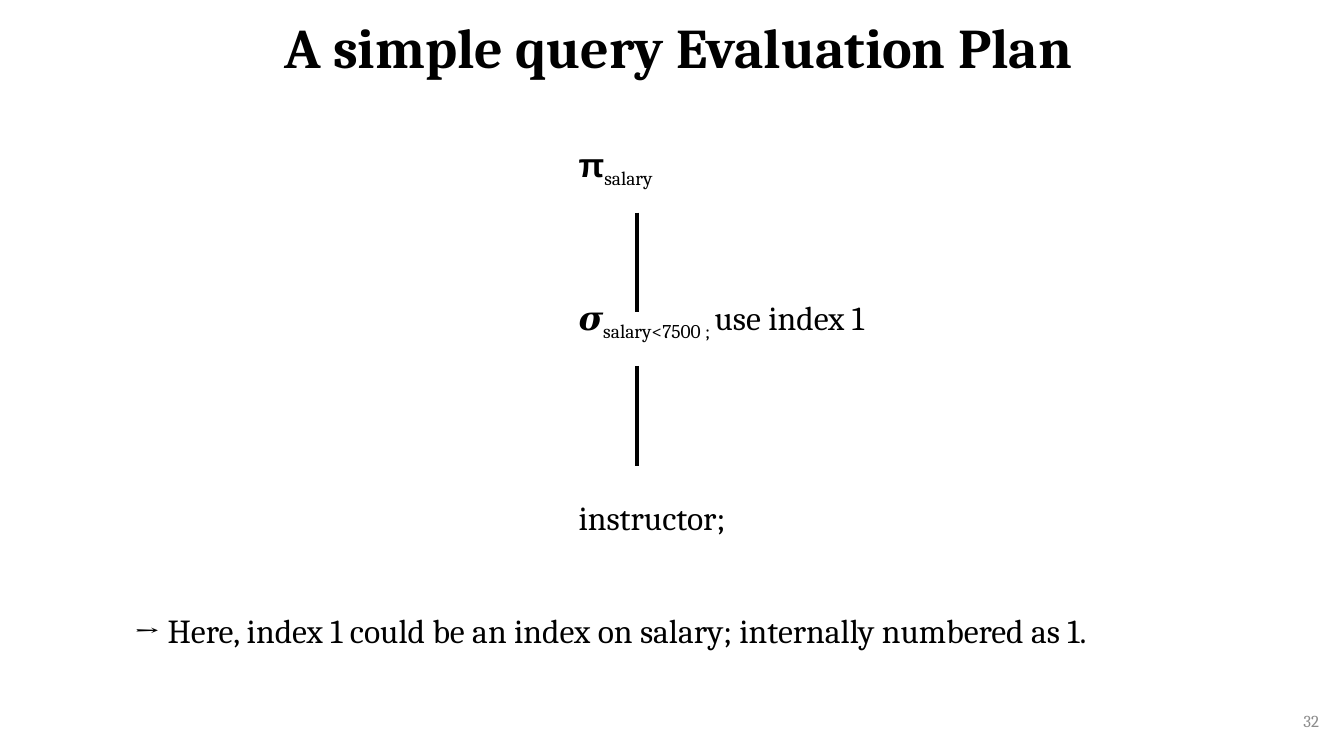
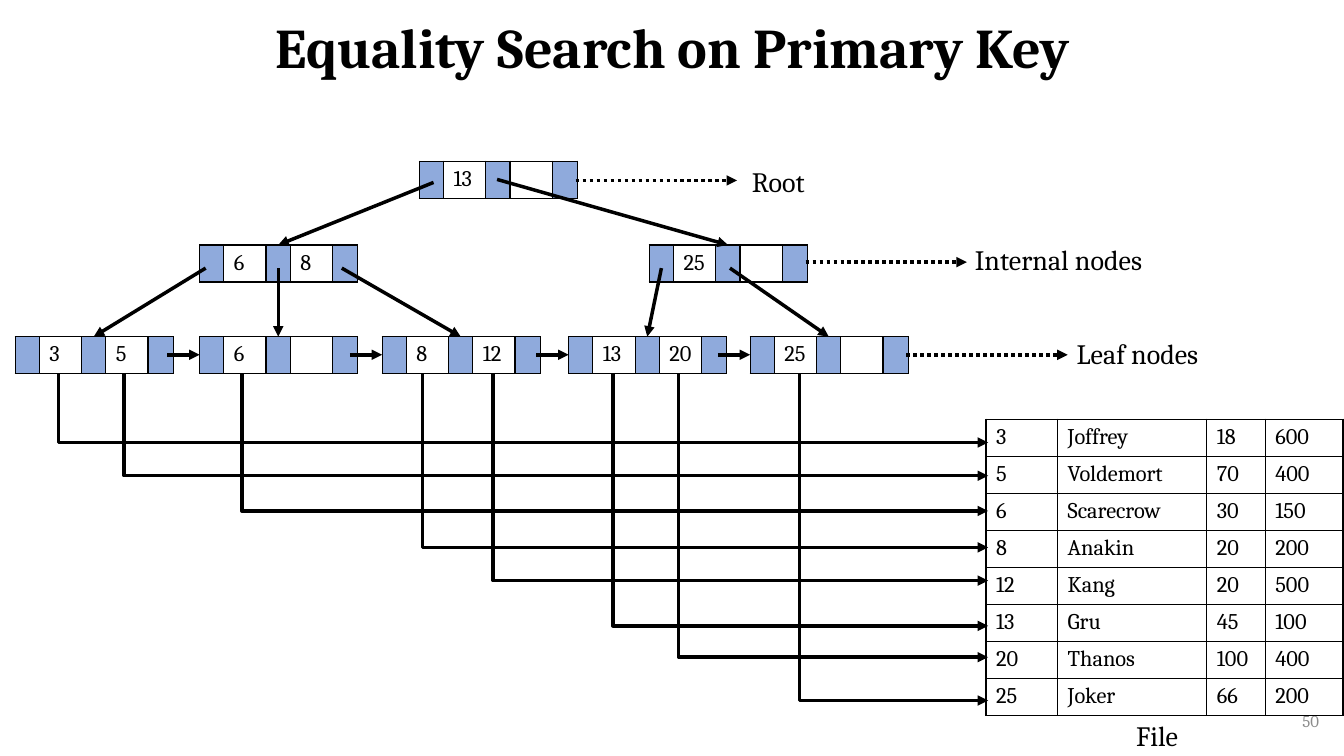
from dataclasses import dataclass

from lxml.etree import SubElement
from pptx import Presentation
from pptx.dml.color import RGBColor
from pptx.enum.dml import MSO_LINE
from pptx.enum.shapes import MSO_CONNECTOR
from pptx.enum.text import MSO_ANCHOR, PP_ALIGN
from pptx.oxml.ns import qn
from pptx.util import Inches, Pt


@dataclass(frozen=True)
class Theme:
    font: str = "Cambria"
    symbol_font: str = "Arial"
    ink: str = "000000"
    muted: str = "8C8C8C"
    pointer: str = "8FAADC"
    title: int = 40
    body: int = 24
    label: int = 20
    cell: int = 16
    number: int = 12
    line: float = 2.5
    border: int = 1


THEME = Theme()


def add_run(p, text, size=THEME.body, color=THEME.ink, font=THEME.font,
            bold=False, subscript=False):
    r = p.add_run()
    r.text = text
    r.font.name, r.font.size, r.font.bold = font, Pt(size), bold
    r.font.color.rgb = RGBColor.from_string(color)
    if subscript:
        r.font._element.set("baseline", "-25000")
    return r


def set_borders(cell):
    tc_pr = cell._tc.get_or_add_tcPr()
    for i, side in enumerate(("lnL", "lnR", "lnT", "lnB")):
        ln = tc_pr.makeelement(qn(f"a:{side}"), w=str(Pt(THEME.border)))
        fill = SubElement(ln, qn("a:solidFill"))
        SubElement(fill, qn("a:srgbClr"), val=THEME.ink)
        tc_pr.insert(i, ln)


class Deck:
    def __init__(self):
        self.prs = Presentation()
        self.prs.slide_width, self.prs.slide_height = Inches(13.33), Inches(7.5)
        self.s = None

    def slide(self, title, number, left, width):
        self.s = self.prs.slides.add_slide(self.prs.slide_layouts[6])
        self.text(left, 0, width, 0.99, title, size=THEME.title, bold=True,
                  align=PP_ALIGN.CENTER, anchor=MSO_ANCHOR.MIDDLE, spacing=0.9)
        self.text(10.18, 6.95, 3, 0.4, number, size=THEME.number,
                  color=THEME.muted, align=PP_ALIGN.RIGHT, anchor=MSO_ANCHOR.MIDDLE)

    def frame(self, x, y, w, h, wrap=True, anchor=MSO_ANCHOR.TOP):
        """Add an empty text box and return its text frame."""
        sp = self.s.shapes.add_textbox(Inches(x), Inches(y), Inches(w), Inches(h))
        tf = sp.text_frame
        tf.word_wrap, tf.vertical_anchor = wrap, anchor
        return tf

    def text(self, x, y, w, h, text, align=PP_ALIGN.LEFT, anchor=MSO_ANCHOR.TOP,
             spacing=1.0, wrap=True, **style):
        p = self.frame(x, y, w, h, wrap, anchor).paragraphs[0]
        p.alignment, p.line_spacing = align, spacing
        add_run(p, text, **style)

    def rich_text(self, x, y, w, h, paragraphs):
        """Each paragraph is its space before in points and a list of runs."""
        tf = self.frame(x, y, w, h)
        for i, (before, runs) in enumerate(paragraphs):
            p = tf.add_paragraph() if i else tf.paragraphs[0]
            p.line_spacing, p.space_before = 0.9, Pt(before)
            for text, style in runs:
                add_run(p, text, **style)

    def label(self, x, y, w, text):
        self.text(x, y, w, 0.44, text, size=THEME.label, wrap=False)

    def line(self, x1, y1, x2, y2, arrow=True, dotted=False, elbow=False):
        """An elbow goes straight down first, then across."""
        kind = MSO_CONNECTOR.ELBOW if elbow else MSO_CONNECTOR.STRAIGHT
        c = self.s.shapes.add_connector(
            kind, Inches(x1), Inches(y1), Inches(x2), Inches(y2))
        c.line.color.rgb = RGBColor.from_string(THEME.ink)
        c.line.width = Pt(THEME.line)
        if dotted:
            c.line.dash_style = MSO_LINE.ROUND_DOT
        sp_pr = c._element.spPr
        if arrow:
            SubElement(sp_pr.find(qn("a:ln")), qn("a:tailEnd"), type="triangle")
        if elbow:
            guides = sp_pr.find(qn("a:prstGeom")).get_or_add_avLst()
            SubElement(guides, qn("a:gd"), name="adj1", fmla="val 0")
        SubElement(sp_pr, qn("a:effectLst"))

    def table(self, x, y, widths, rows, shaded=()):
        """Columns listed in shaded are filled with the pointer colour."""
        height = 0.355
        t = self.s.shapes.add_table(
            len(rows), len(widths), Inches(x), Inches(y),
            Inches(sum(widths)), Inches(height * len(rows))).table
        t.first_row = t.horz_banding = False
        for col, width in zip(t.columns, widths):
            col.width = Inches(width)
        for i, row in enumerate(rows):
            t.rows[i].height = Inches(height)
            for j, value in enumerate(row):
                cell = t.cell(i, j)
                if j in shaded:
                    cell.fill.solid()
                    cell.fill.fore_color.rgb = RGBColor.from_string(THEME.pointer)
                else:
                    cell.fill.background()
                set_borders(cell)
                p = cell.text_frame.paragraphs[0]
                if value:
                    add_run(p, value, size=THEME.cell)
                else:
                    SubElement(p._p, qn("a:endParaRPr"), sz=str(THEME.cell * 100))

    def node(self, x, y, first, second=""):
        self.table(x, y, (0.23, 0.42, 0.23, 0.42, 0.25),
                   [("", first, "", second, "")], shaded=(0, 2, 4))


def plan_slide(deck):
    deck.slide("A simple query Evaluation Plan", "32", 0.54, 12.37)
    sub = {"subscript": True}
    deck.rich_text(5.64, 1.38, 4.97, 3.79, [
        (10, [("π", {"font": THEME.symbol_font, "bold": True}), ("salary", sub)]),
        (80, [("𝝈", {}), ("salary<7500 ; ", sub), ("use index 1", {})]),
        (116, [("instructor;", {})]),
    ])
    deck.text(1.23, 6.05, 11.76, 0.66, spacing=0.9,
              text="→ Here, index 1 could be an index on salary; internally numbered as 1.")
    for y in (2.11, 3.63):
        deck.line(6.32, y, 6.32, y + 0.99, arrow=False)


def tree_slide(deck):
    deck.slide("Equality Search on Primary Key", "50", 0.92, 11.5)
    root_y, inner_y, leaf_y = 1.6, 2.43, 3.34
    node_width, node_middle = 1.55, 0.78

    records = [
        ("3", "Joffrey", "18", "600"), ("5", "Voldemort", "70", "400"),
        ("6", "Scarecrow", "30", "150"), ("8", "Anakin", "20", "200"),
        ("12", "Kang", "20", "500"), ("13", "Gru", "45", "100"),
        ("20", "Thanos", "100", "400"), ("25", "Joker", "66", "200"),
    ]
    deck.table(9.78, 4.16, (0.71, 1.48, 0.58, 0.77), records)

    root_x, inner_xs = 4.16, (1.98, 6.44)
    leaf_xs = (0.15, 1.98, 3.79, 5.64, 7.44)
    deck.node(root_x, root_y, "13")
    for x, keys in zip(inner_xs, (("6", "8"), ("25",))):
        deck.node(x, inner_y, *keys)
    leaf_keys = (("3", "5"), ("6",), ("8", "12"), ("13", "20"), ("25",))
    for x, keys in zip(leaf_xs, leaf_keys):
        deck.node(x, leaf_y, *keys)

    # Child pointers end at the top middle of the child node.
    for x, y, child in zip((4.3, 4.93), (1.81, 1.78), inner_xs):
        deck.line(x, y, child + node_middle, inner_y)
    for x, child in zip((2.04, 2.76, 3.39, 6.56, 7.24), leaf_xs):
        deck.line(x, 2.66, child + node_middle, leaf_y)
    for x in leaf_xs[1:]:
        deck.line(x - 0.32, 3.52, x, 3.52)

    # Each leaf key leads to its record in the file.
    key_xs = (0.58, 1.23, 2.4, 4.19, 4.89, 6.08, 6.73, 7.93)
    record_ys = (4.39, 4.72, 5.07, 5.43, 5.76, 6.21, 6.52, 6.95)
    for x, y in zip(key_xs, record_ys):
        deck.line(x, 3.71, 9.8, y, elbow=True)

    levels = [
        (root_x, 1.79, 7.36, 1.58, 0.79, "Root"),
        (inner_xs[-1], 2.6, 9.57, 2.36, 1.99, "Internal nodes"),
        (leaf_xs[-1], 3.52, 10.58, 3.29, 1.55, "Leaf nodes"),
    ]
    for x, y, label_x, label_y, width, name in levels:
        right = x + node_width
        deck.line(right, y, right + 1.6, y, dotted=True)
        deck.label(label_x, label_y, width, name)
    deck.label(11.17, 7.08, 0.66, "File")


def main():
    deck = Deck()
    plan_slide(deck)
    tree_slide(deck)
    deck.prs.save("out.pptx")


if __name__ == "__main__":
    main()
